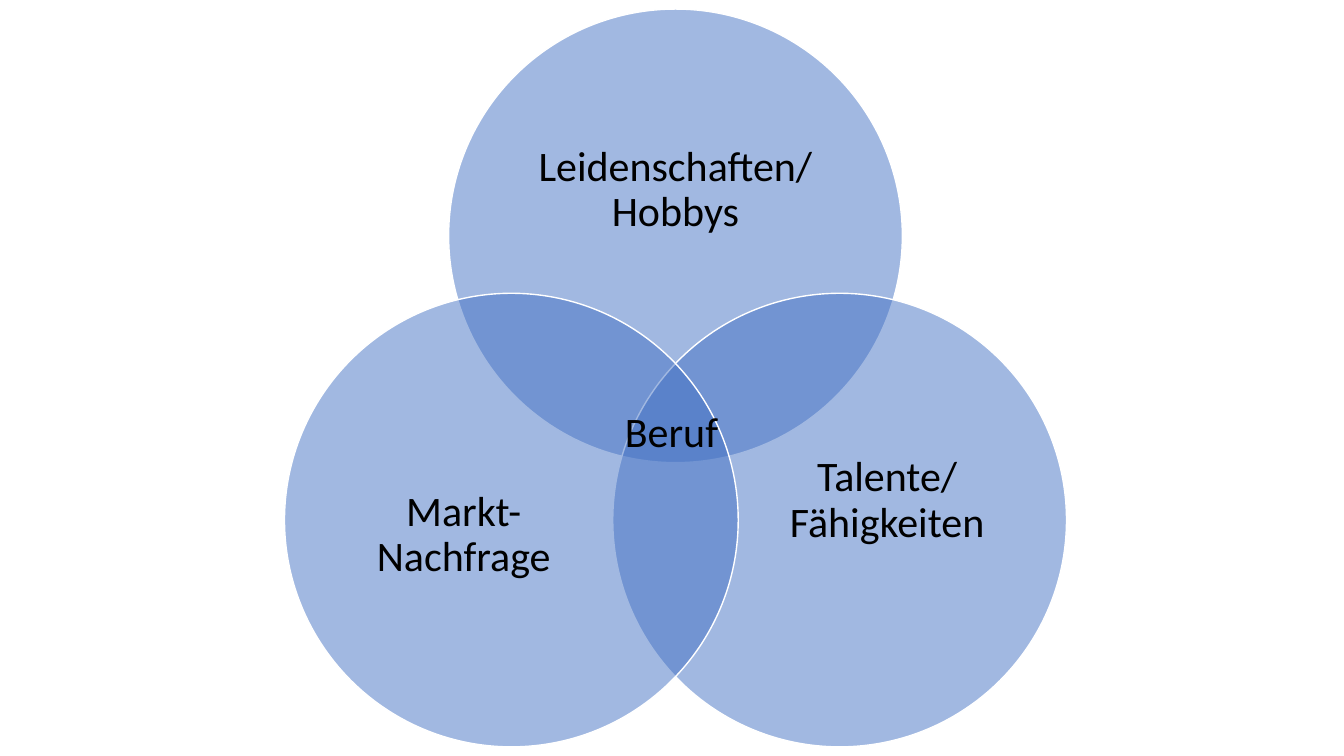
import math
import pptx
import pptx.dml.color
import pptx.enum.shapes
import pptx.enum.text
import pptx.util
from lxml import etree
from pptx.oxml.ns import qn

Inches = pptx.util.Inches
Pt = pptx.util.Pt
BLUE = pptx.dml.color.RGBColor(0x44, 0x72, 0xC4)
WHITE = pptx.dml.color.RGBColor(0xFF, 0xFF, 0xFF)
BLACK = pptx.dml.color.RGBColor(0x00, 0x00, 0x00)

CIRCLES = [
    {"angle": -90, "text": "Leidenschaften/ Hobbys", "box": (5.05, 0.88, 3.3, 2.02), "bottom": 0},
    {"angle": 30, "text": "Talente/ Fähigkeiten", "box": (7.45, 4.07, 2.7, 2.48), "bottom": 0.68},
    {"angle": 150, "text": "Markt-\vNachfrage", "box": (3.25, 4.07, 2.7, 2.48), "bottom": 0},
]
CENTER_LABEL = ("Beruf", (6.1, 3.97, 1.14, 0.61))

CENTER_X, CENTER_Y = 6.7, 4.22
ORBIT = 1.88
DIAMETER = 4.5


def add_circle(slide, angle):
    left = CENTER_X + ORBIT * math.cos(math.radians(angle)) - DIAMETER / 2
    top = CENTER_Y + ORBIT * math.sin(math.radians(angle)) - DIAMETER / 2
    circle = slide.shapes.add_shape(
        pptx.enum.shapes.MSO_SHAPE.OVAL,
        Inches(left), Inches(top), Inches(DIAMETER), Inches(DIAMETER))
    circle.shadow.inherit = False
    circle.fill.solid()
    circle.fill.fore_color.rgb = BLUE
    color = circle._element.spPr.find(qn("a:solidFill")).find(qn("a:srgbClr"))
    etree.SubElement(color, qn("a:alpha")).set("val", "50000")
    circle.line.color.rgb = WHITE
    circle.line.width = Pt(1)


def add_label(slide, text, box):
    label = slide.shapes.add_textbox(*[Inches(length) for length in box])
    frame = label.text_frame
    frame.text = text
    paragraph = frame.paragraphs[0]
    paragraph.font.name = "Calibri"
    paragraph.font.size = Pt(30)
    paragraph.font.color.rgb = BLACK
    return frame


def add_circle_label(slide, text, box, bottom):
    frame = add_label(slide, text, box)
    frame.word_wrap = True
    frame.vertical_anchor = pptx.enum.text.MSO_ANCHOR.MIDDLE
    frame.margin_left = frame.margin_right = frame.margin_top = 0
    frame.margin_bottom = Inches(bottom)
    paragraph = frame.paragraphs[0]
    paragraph.alignment = pptx.enum.text.PP_ALIGN.CENTER
    paragraph.line_spacing = 0.9


def main():
    presentation = pptx.Presentation()
    presentation.slide_width = Inches(13.33)
    presentation.slide_height = Inches(7.5)
    slide = presentation.slides.add_slide(presentation.slide_layouts[6])
    for circle in CIRCLES:
        add_circle(slide, circle["angle"])
        add_circle_label(slide, circle["text"], circle["box"], circle["bottom"])
    frame = add_label(slide, *CENTER_LABEL)
    frame.word_wrap = False
    frame.auto_size = pptx.enum.text.MSO_AUTO_SIZE.SHAPE_TO_FIT_TEXT
    presentation.save("out.pptx")


if __name__ == "__main__":
    main()
